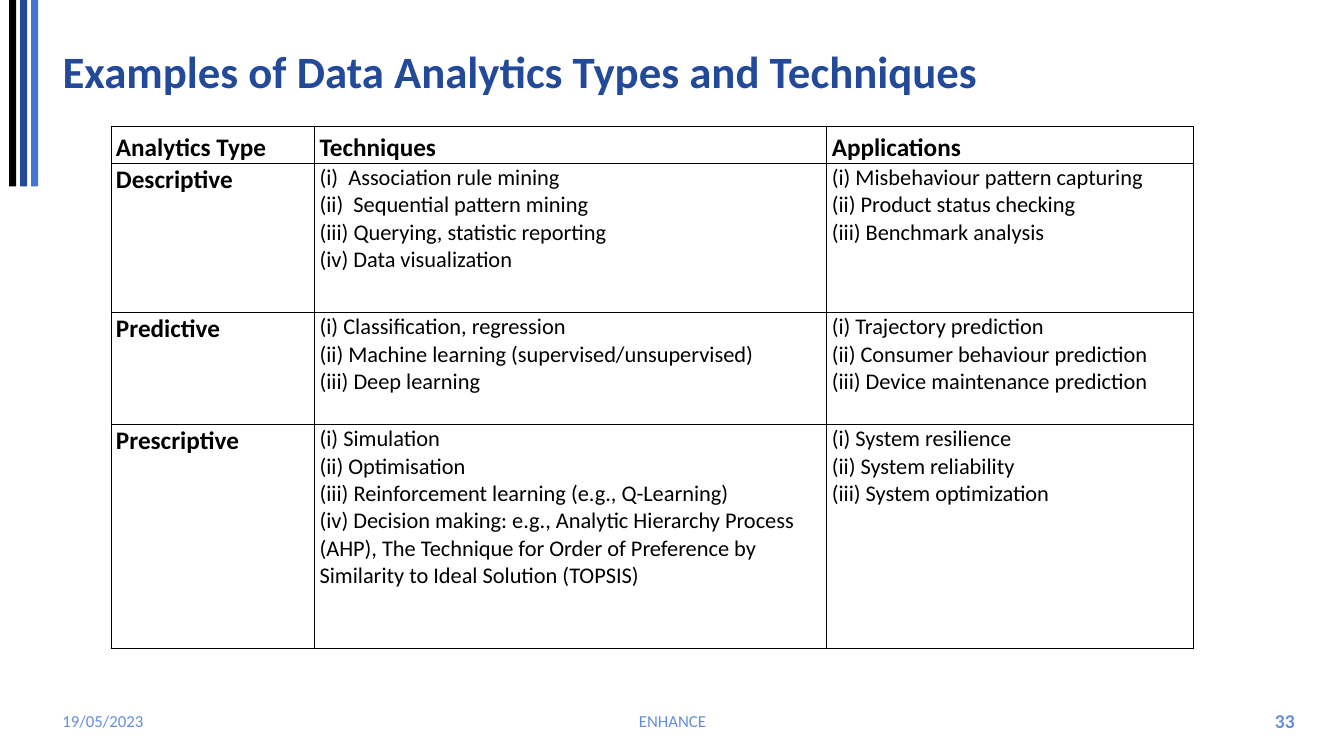
from dataclasses import dataclass

from lxml import etree
from pptx import Presentation
from pptx import util as u
from pptx.dml.color import RGBColor
from pptx.enum import shapes, text
from pptx.oxml.ns import qn

PX = 9144
BLACK = RGBColor(0x00, 0x00, 0x00)
NAVY = RGBColor(0x23, 0x4A, 0x99)
BLUE = RGBColor(0x44, 0x74, 0xD4)
PALE_BLUE = RGBColor(0x66, 0x8D, 0xDC)
ALIGN = text.PP_ALIGN
ANCHOR = text.MSO_ANCHOR


@dataclass(frozen=True)
class Style:
    size: int
    color: RGBColor
    bold: bool = False


@dataclass(frozen=True)
class Footer:
    words: str
    left: int
    width: int
    align: ALIGN
    style: Style


@dataclass(frozen=True)
class Row:
    height: int
    cells: tuple[str, str, str]


TITLE = Style(32, NAVY, True)
HEADING = Style(18, BLACK, True)
BODY = Style(16, BLACK)
SMALL = Style(12, PALE_BLUE)
NUMBER = Style(14, PALE_BLUE, True)

BAR_COLORS = (BLACK, NAVY, BLUE)
FOOTERS = (
    Footer("19/05/2023", 52, 300, ALIGN.LEFT, SMALL),
    Footer("ENHANCE", 442, 450, ALIGN.CENTER, SMALL),
    Footer("33", 994, 300, ALIGN.RIGHT, NUMBER),
)
COLUMN_WIDTHS = (202, 508, 364)
ROWS = (
    Row(37, ("Analytics Type", "Techniques", "Applications")),
    Row(148, (
        "Descriptive",
        "(i)  Association rule mining\n(ii)  Sequential pattern mining\n"
        "(iii) Querying, statistic reporting\n(iv) Data visualization",
        "(i) Misbehaviour pattern capturing\n(ii) Product status checking\n"
        "(iii) Benchmark analysis",
    )),
    Row(111, (
        "Predictive",
        "(i) Classification, regression\n"
        "(ii) Machine learning (supervised/unsupervised)\n(iii) Deep learning",
        "(i) Trajectory prediction\n(ii) Consumer behaviour prediction\n"
        "(iii) Device maintenance prediction",
    )),
    Row(222, (
        "Prescriptive",
        "(i) Simulation\n(ii) Optimisation\n"
        "(iii) Reinforcement learning (e.g., Q-Learning)\n"
        "(iv) Decision making: e.g., Analytic Hierarchy Process (AHP), "
        "The Technique for Order of Preference by Similarity to Ideal Solution (TOPSIS)",
        "(i) System resilience\n(ii) System reliability\n(iii) System optimization",
    )),
)


def px(length: int) -> u.Emu:
    return u.Emu(length * PX)


def write(frame, words: str, style: Style, align: ALIGN = ALIGN.LEFT) -> None:
    frame.text = words
    values = {"name": "Calibri", "size": u.Pt(style.size), "bold": style.bold}
    for para in frame.paragraphs:
        para.alignment = align
        for span in para.runs:
            for key, value in values.items():
                setattr(span.font, key, value)
            span.font.color.rgb = style.color


def draw_bar(page, index: int, color: RGBColor) -> None:
    bar = page.shapes.add_shape(
        shapes.MSO_SHAPE.RECTANGLE, px(9 + 11 * index), 0, px(7), px(185))
    bar.shadow.inherit = False
    bar.fill.solid()
    bar.fill.fore_color.rgb = color
    bar.line.fill.background()


def draw_title(page) -> None:
    title = page.shapes.title
    place = {"left": 52, "top": 21, "width": 1150, "height": 105}
    for key, value in place.items():
        setattr(title, key, px(value))
    frame = title.text_frame
    write(frame, "Examples of Data Analytics Types and Techniques", TITLE)
    frame.auto_size = text.MSO_AUTO_SIZE.NONE
    frame.vertical_anchor = ANCHOR.MIDDLE
    frame.paragraphs[0].line_spacing = 0.9


def draw_footer(page, footer: Footer) -> None:
    box = page.shapes.add_textbox(px(footer.left), px(695), px(footer.width), px(40))
    frame = box.text_frame
    frame.word_wrap = True
    frame.vertical_anchor = ANCHOR.MIDDLE
    write(frame, footer.words, footer.style, footer.align)


def add_borders(cell) -> None:
    properties = cell._tc.get_or_add_tcPr()
    for position, side in enumerate(("lnL", "lnR", "lnT", "lnB")):
        line = etree.Element(qn(f"a:{side}"), w=str(u.Pt(0.5)))
        fill = etree.SubElement(line, qn("a:solidFill"))
        etree.SubElement(fill, qn("a:srgbClr"), val=str(BLACK))
        properties.insert(position, line)


def draw_table(page) -> None:
    table = page.shapes.add_table(
        len(ROWS), len(COLUMN_WIDTHS), px(110), px(125),
        px(sum(COLUMN_WIDTHS)), px(sum(row.height for row in ROWS))).table
    table.first_row = table.horz_banding = False
    for column, width in zip(table.columns, COLUMN_WIDTHS):
        column.width = px(width)
    for row_index, row in enumerate(ROWS):
        table.rows[row_index].height = px(row.height)
        for column_index, words in enumerate(row.cells):
            cell = table.cell(row_index, column_index)
            is_heading = row_index == 0 or column_index == 0
            values = {
                "margin_left": px(5),
                "margin_right": px(1),
                "margin_top": px(1),
                "margin_bottom": 0,
                "vertical_anchor": ANCHOR.BOTTOM if row_index == 0 else ANCHOR.TOP,
            }
            for key, value in values.items():
                setattr(cell, key, value)
            write(cell.text_frame, words, HEADING if is_heading else BODY)
            cell.fill.background()
            add_borders(cell)


def main() -> None:
    deck = Presentation()
    deck.slide_width, deck.slide_height = px(1333), px(750)
    page = deck.slides.add_slide(deck.slide_layouts[5])
    for index, color in enumerate(BAR_COLORS):
        draw_bar(page, index, color)
    for footer in FOOTERS:
        draw_footer(page, footer)
    draw_title(page)
    draw_table(page)
    deck.save("out.pptx")


if __name__ == "__main__":
    main()
